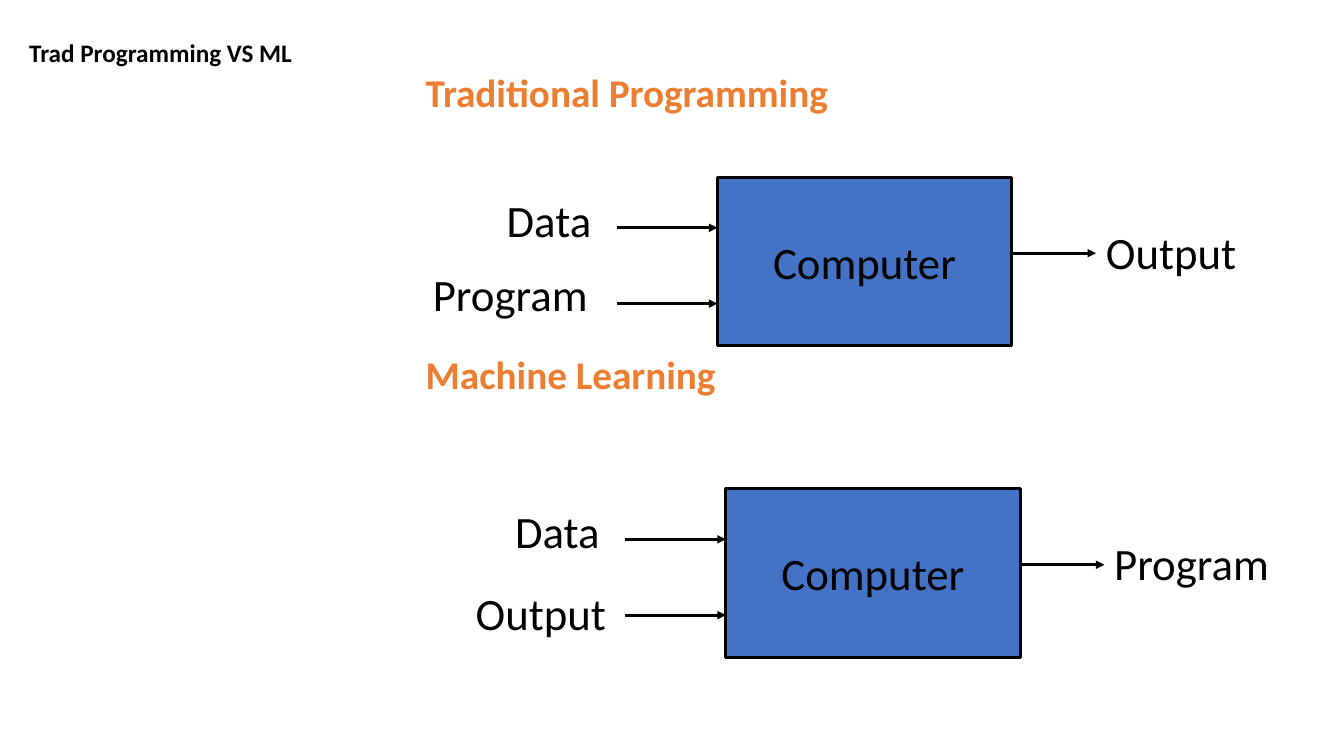
from lxml import etree
from pptx import Presentation
from pptx.dml.color import RGBColor
from pptx.enum.shapes import MSO_CONNECTOR, MSO_SHAPE
from pptx.enum.text import MSO_ANCHOR, MSO_AUTO_SIZE, PP_ALIGN
from pptx.oxml.ns import qn
from pptx.util import Cm, Pt

STRAIGHT = MSO_CONNECTOR.STRAIGHT
RECTANGLE = MSO_SHAPE.RECTANGLE
TOP, MIDDLE = MSO_ANCHOR.TOP, MSO_ANCHOR.MIDDLE
LEFT, CENTER = PP_ALIGN.LEFT, PP_ALIGN.CENTER
NO_AUTOFIT = MSO_AUTO_SIZE.NONE

FONT = "Calibri"
BLACK, BLUE, ORANGE = "000000", "4472C4", "ED7D31"
LINE_WIDTH = Pt(2)

# Computer box size and label widths, in cm
BOX_WIDTH, BOX_HEIGHT = 7.42, 4.24
LABEL_HEIGHT = 1.63
LABEL_WIDTHS = {"Data": 2.67, "Program": 4.45, "Output": 3.89}

# Heading top, box left and top, inputs (text, x and y from the box), result
DIAGRAMS = [
    ("Traditional Programming", 1.73, 18.08, 4.47,
     [("Data", -5.56, 0.25), ("Program", -7.42, 2.13)], "Output"),
    ("Machine Learning", 8.84, 18.29, 12.32,
     [("Data", -5.56, 0.25), ("Output", -6.55, 2.31)], "Program"),
]


def colour(value):
    return RGBColor.from_string(value)


def write(frame, text, size, text_colour=BLACK, bold=False, align=LEFT,
          anchor=TOP, spacing=1.0):
    """Put one formatted line of text into a frame."""
    frame.word_wrap = False
    frame.auto_size = NO_AUTOFIT
    frame.vertical_anchor = anchor
    para = frame.paragraphs[0]
    para.alignment = align
    para.line_spacing = spacing
    para.space_before = Pt(0)
    span = para.add_run()
    span.text = text
    span.font.name = FONT
    span.font.size = Pt(size)
    span.font.bold = bold
    span.font.color.rgb = colour(text_colour)


def add_title(page, text):
    title = page.shapes.title
    title.left, title.top = Cm(0.48), Cm(0.43)
    title.width, title.height = Cm(7.19), Cm(1.3)
    write(title.text_frame, text, 18, bold=True, spacing=1.5)


def add_heading(page, text, top):
    box = page.shapes.add_textbox(Cm(10.48), Cm(top), Cm(12), Cm(1.4))
    write(box.text_frame, text, 28, ORANGE, bold=True, spacing=0.9)
    box.text_frame.word_wrap = True


def add_label(page, text, left, top):
    box = page.shapes.add_textbox(Cm(left), Cm(top), Cm(LABEL_WIDTHS[text]),
                                  Cm(LABEL_HEIGHT))
    write(box.text_frame, text, 32)


def add_computer(page, left, top):
    box = page.shapes.add_shape(RECTANGLE, Cm(left), Cm(top), Cm(BOX_WIDTH),
                                Cm(BOX_HEIGHT))
    box.shadow.inherit = False
    box.fill.solid()
    box.fill.fore_color.rgb = colour(BLUE)
    box.line.color.rgb = colour(BLACK)
    box.line.width = LINE_WIDTH
    write(box.text_frame, "Computer", 32, align=CENTER, anchor=MIDDLE)


def add_arrow(page, left, right, y):
    arrow = page.shapes.add_connector(STRAIGHT, Cm(left), Cm(y), Cm(right), Cm(y))
    arrow.line.color.rgb = colour(BLACK)
    arrow.line.width = LINE_WIDTH
    head = etree.SubElement(arrow.line._get_or_add_ln(), qn("a:tailEnd"))
    head.set("type", "triangle")
    etree.SubElement(arrow._element.spPr, qn("a:effectLst"))


def add_diagram(page, heading, heading_top, left, top, inputs, result):
    add_heading(page, heading, heading_top)
    add_computer(page, left, top)

    # Inputs on the left
    for index, (text, x, y) in enumerate(inputs):
        add_arrow(page, left - 2.54, left, top + 1.27 + index * 1.91)
        add_label(page, text, left + x, top + y)

    # Result on the right
    right = left + BOX_WIDTH
    add_arrow(page, right, right + 2.12, top + 1.91)
    add_label(page, result, right + 2.12, top + 1.06)


def main():
    deck = Presentation()
    deck.slide_width, deck.slide_height = Cm(33.87), Cm(19.05)
    page = deck.slides.add_slide(deck.slide_layouts.get_by_name("Title Only"))
    add_title(page, "Trad Programming VS ML")
    for diagram in DIAGRAMS:
        add_diagram(page, *diagram)
    deck.save("out.pptx")


if __name__ == "__main__":
    main()
